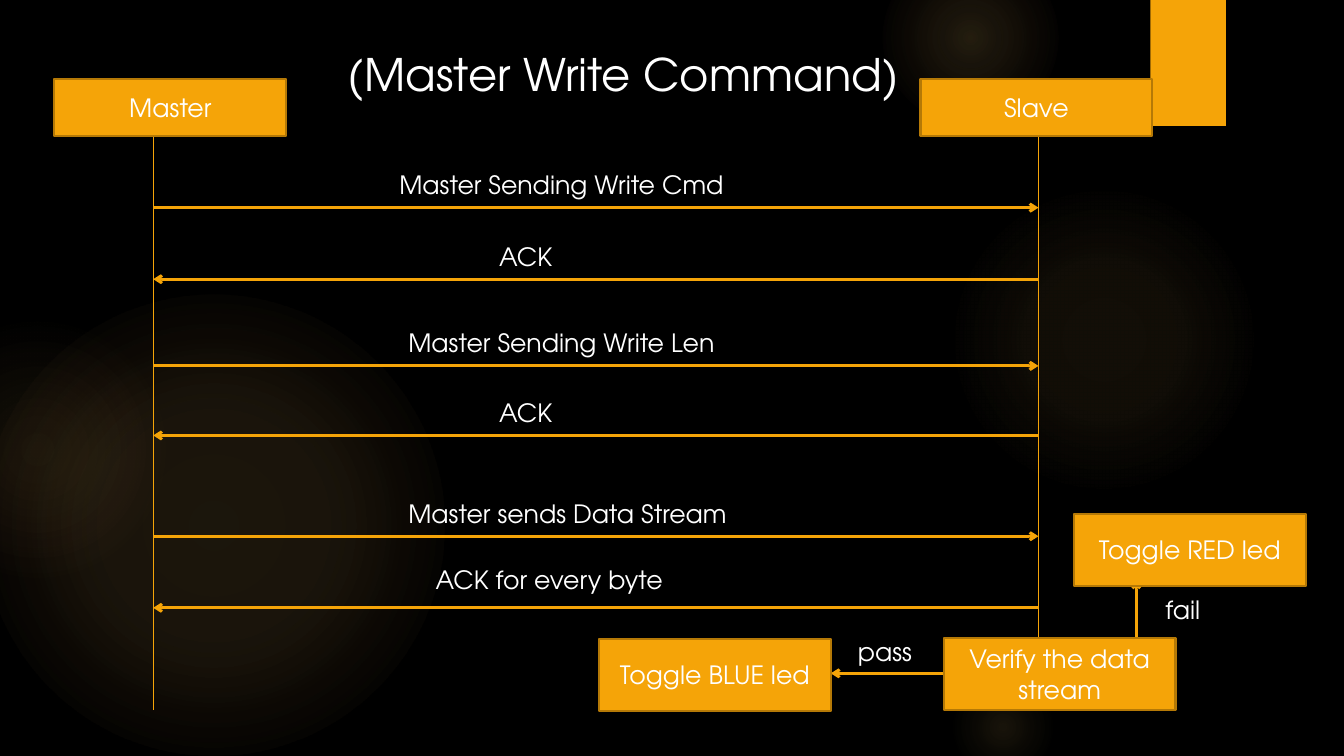
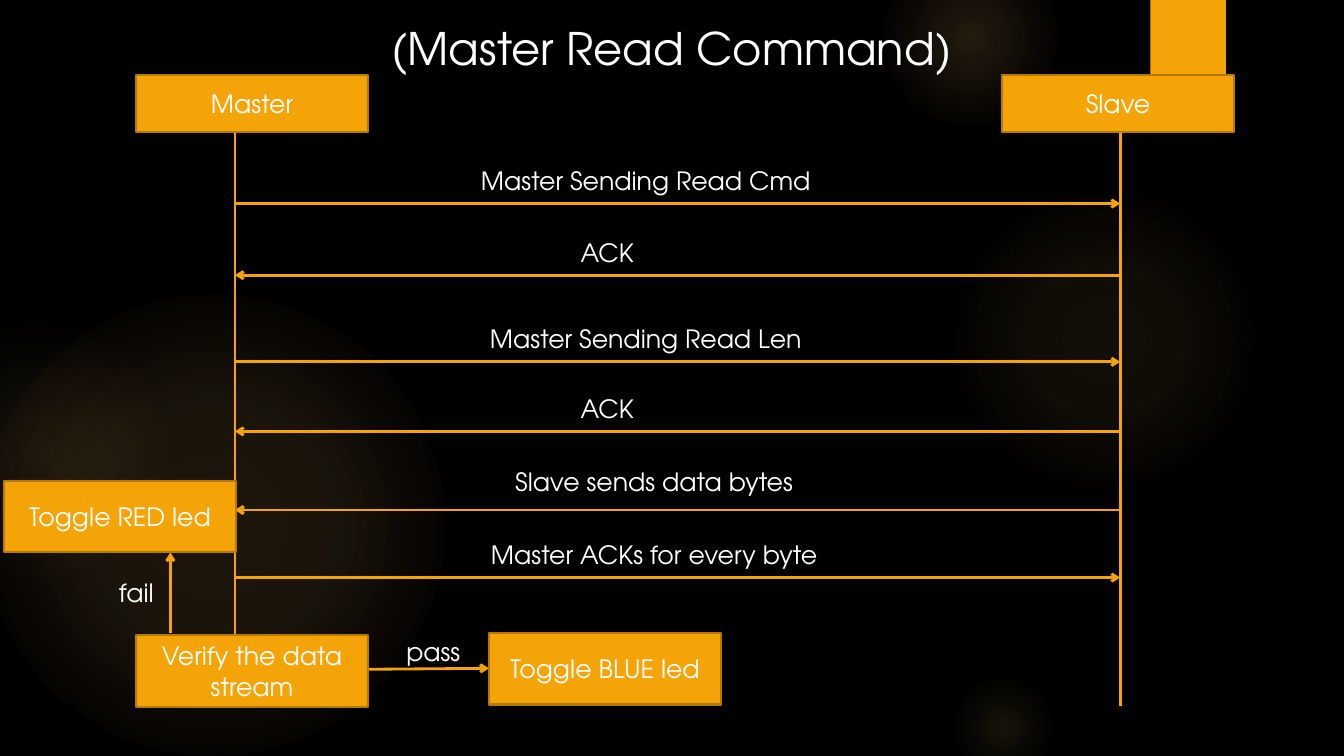
"""Build two sequence diagrams: the master write and master read commands."""
from dataclasses import dataclass

from lxml import etree
from pptx import Presentation
from pptx.dml.color import RGBColor as Rgb
from pptx.enum.shapes import MSO_CONNECTOR as Link, MSO_SHAPE as Kind
from pptx.enum.text import MSO_ANCHOR as Anchor, MSO_AUTO_SIZE as Fit, PP_ALIGN as Align
from pptx.oxml import parse_xml
from pptx.oxml.ns import nsdecls, qn
from pptx.util import Inches, Pt


@dataclass(frozen=True)
class Theme:
    back: Rgb = Rgb.from_string("000000")
    gold: Rgb = Rgb.from_string("F5A408")
    edge: Rgb = Rgb.from_string("B57906")
    white: Rgb = Rgb.from_string("FFFFFF")
    glow: str = "FAC96A"
    rose: str = "F59B74"
    font: str = "TeX Gyre Adventor"
    head: int = 32
    body: int = 18


theme = Theme()
inset = {"margin_left": Inches(0.13), "margin_right": Inches(0.13),
         "margin_top": Inches(0.07), "margin_bottom": Inches(0.07),
         "auto_size": Fit.NONE}


def write(shape, text, size, align=Align.LEFT, anchor=Anchor.TOP, wrap=False):
    frame = shape.text_frame
    frame.text = text
    for key, value in {**inset, "vertical_anchor": anchor, "word_wrap": wrap}.items():
        setattr(frame, key, value)
    para = frame.paragraphs[0]
    para.alignment = align
    font = para.runs[0].font
    for key, value in {"name": theme.font, "size": Pt(size)}.items():
        setattr(font, key, value)
    font.color.rgb = theme.white


def join(slide, start, end, width=2, arrow=True):
    line = slide.shapes.add_connector(Link.STRAIGHT, *map(Inches, start + end))
    line.line.color.rgb = theme.gold
    line.line.width = Pt(width)
    props = line.element.spPr
    if arrow:
        etree.SubElement(props.find(qn("a:ln")), qn("a:tailEnd"), type="arrow")
    etree.SubElement(props, qn("a:effectLst"))


deck = Presentation()
deck.slide_width, deck.slide_height = Inches(13.33), Inches(7.5)
layout = deck.slide_layouts[5]
for holder in list(layout.placeholders)[1:]:
    holder.element.getparent().remove(holder.element)
fill = deck.slide_master.background.fill
fill.solid()
fill.fore_color.rgb = theme.back

pages = [deck.slides.add_slide(layout) for _ in range(2)]

glows = [
    (-0.17, 2.92, 4.58, [(0, 11), (36, 10), (75, 0)], theme.glow),
    (-0.92, 3.17, 2.58, [(0, 8), (36, 5), (71, 0)], theme.rose),
    (9.41, 1.83, 3.08, [(0, 7), (36, 6), (69, 0)], theme.glow),
    (8.75, -0.5, 1.75, [(0, 14), (36, 7), (73, 0)], theme.glow),
    (9.41, 6.67, 1.08, [(0, 10), (31, 5), (66, 0)], theme.glow),
]
decor = []
for left, top, size, stops, rim in glows:
    disc = pages[0].shapes.add_shape(Kind.OVAL, *map(Inches, (left, top, size, size)))
    disc.fill.background()
    marks = "".join(
        f'<a:gs pos="{pos * 1000}"><a:srgbClr val="{theme.glow if alpha else rim}">'
        f'<a:alpha val="{alpha * 1000}"/></a:srgbClr></a:gs>' for pos, alpha in stops)
    props = disc.element.spPr
    props.replace(props.find(qn("a:noFill")), parse_xml(
        f'<a:gradFill {nsdecls("a")} rotWithShape="1"><a:gsLst>{marks}</a:gsLst>'
        '<a:path path="circle"><a:fillToRect l="50000" t="50000" r="50000" b="50000"/>'
        '</a:path></a:gradFill>'))
    decor.append(disc)
band = pages[0].shapes.add_shape(Kind.RECTANGLE, *map(Inches, (11.41, 0, 0.75, 1.25)))
band.fill.solid()
band.fill.fore_color.rgb = theme.gold
decor.append(band)
for place, shape in enumerate(decor, 2):
    shape.line.fill.background()
    shape.shadow.inherit = False
    layout.shapes.element.insert(place, shape.element)

span, tall, wide, high = 8.78, 0.57, 2.3, 0.71
flows = [
    {"word": "Write", "title": (3.32, 0.39, 5.81), "life": 1.52, "top": 0.78,
     "ends": (7.04, 7.04), "width": 0.75, "cmd": 3.65, "len": 3.47,
     "talk": [("Master sends Data Stream", 2.4, 3.6, 4.54, 0.45, True),
              ("ACK for every byte", 2.67, 2.66, 5.25, 0.5, False)],
     "boxes": [("Verify the data stream", 9.36, 6.33), ("Toggle BLUE led", 5.94, 6.34),
               ("Toggle RED led", 10.65, 5.1)],
     "links": [((9.36, 6.68), (8.24, 6.68)), ((11.27, 6.33), (11.27, 5.75))],
     "notes": [("pass", 8.38, 6.24, 0.83), ("fail", 11.43, 5.83, 0.63)]},
    {"word": "Read", "title": (3.75, 0.14, 5.89), "life": 2.33, "top": 0.74,
     "ends": (6.3, 7), "width": 2, "cmd": 3.7, "len": 3.51,
     "talk": [("Slave sends data bytes", 2.65, 3.18, 4.32, 0.5, False),
              ("Master ACKs for every byte", 2.41, 3.77, 4.99, 0.45, True)],
     "boxes": [("Verify the data stream", 1.35, 6.3), ("Toggle BLUE led", 4.85, 6.28),
               ("Toggle RED led", 0.04, 4.77)],
     "links": [((3.65, 6.64), (4.85, 6.63)), ((1.69, 6.28), (1.69, 5.48))],
     "notes": [("pass", 3.9, 6.24, 0.83), ("fail", 1.05, 5.66, 0.63)]},
]

for slide, flow in zip(pages, flows):
    word, life, top = flow["word"], flow["life"], flow["top"]
    title = slide.shapes.title
    left, above, width = flow["title"]
    for key, value in {"left": left, "top": above, "width": width, "height": 0.67}.items():
        setattr(title, key, Inches(value))
    write(title, f"(Master {word} Command)", theme.head)

    for x, end in zip((life, life + span), flow["ends"]):
        join(slide, (x, top + tall), (x, end), flow["width"], False)

    talk = [(f"Master Sending {word} Cmd", 2.31, flow["cmd"], 1.28, 0.45, True),
            ("ACK", 3.3, 0.83, 1.99, 0.45, False),
            (f"Master Sending {word} Len", 2.4, flow["len"], 2.85, 0.45, True),
            ("ACK", 3.3, 0.83, 3.54, 0.45, False)] + flow["talk"]
    notes = list(flow["notes"])
    for text, shift, width, drop, gap, sent in talk:
        y = top + drop
        ends = [(life, y), (life + span, y)]
        join(slide, *(ends if sent else ends[::-1]))
        notes.append((text, life + shift, y - gap, width))
    for start, end in flow["links"]:
        join(slide, start, end)

    boxes = [("Master", life - 0.98, top, tall), ("Slave", life + span - 1.17, top, tall)]
    boxes += [(*box, high) for box in flow["boxes"]]
    for text, x, y, height in boxes:
        box = slide.shapes.add_shape(Kind.RECTANGLE, *map(Inches, (x, y, wide, height)))
        box.shadow.inherit = False
        box.fill.solid()
        box.fill.fore_color.rgb = theme.gold
        box.line.color.rgb = theme.edge
        box.line.width = Pt(1.5)
        write(box, text, theme.body, Align.CENTER, Anchor.MIDDLE, True)

    for text, x, y, width in notes:
        note = slide.shapes.add_textbox(*map(Inches, (x, y, width, 0.45)))
        write(note, text, theme.body)

deck.save("out.pptx")
